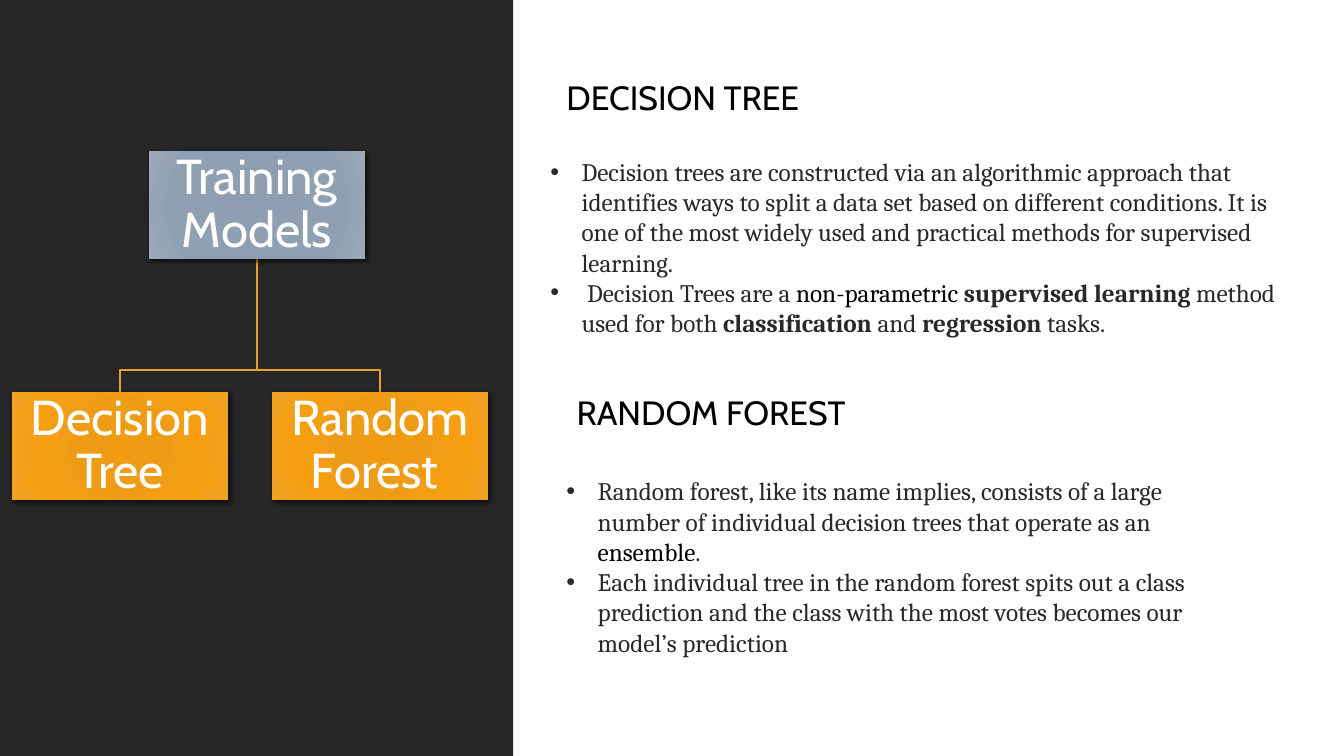
from dataclasses import dataclass
from typing import NamedTuple

import lxml.etree
import pptx
import pptx.dml.color
import pptx.enum.shapes
import pptx.enum.text
import pptx.oxml
import pptx.oxml.ns
import pptx.util

Inches = pptx.util.Inches
Pt = pptx.util.Pt
qn = pptx.oxml.ns.qn

COLOURS = {
    "panel": "262626",
    "branch": "E6A02E",
    "white": "FFFFFF",
    "black": "000000",
    "ink": "292929",
}
STOP_POSITIONS = (0, 34, 70, 100)
GRADIENTS = {
    "slate": ("8D9CAE", "8F9EB0", "90A0B3", "9AA8B8"),
    "orange": ("F09B11", "EE9C16", "F69F12", "EFA225"),
}
HEADING_FONT, BODY_FONT = "Cabin", "Cambria"
BOX_WIDTH, BOX_HEIGHT = 2.14, 1.07
BRANCH_BEND = 3.67
BULLET_INDENT = 0.31


@dataclass(frozen=True)
class Node:
    label: str
    left: float
    top: float
    gradient: str

    @property
    def centre(self) -> float:
        return self.left + BOX_WIDTH / 2


class Span(NamedTuple):
    text: str
    colour: str = "ink"
    bold: bool = False


@dataclass(frozen=True)
class Section:
    heading: str
    heading_at: tuple[float, float, float, float]
    body_at: tuple[float, float, float, float]
    bullets: list[list[Span]]


ROOT = Node("Training Models", 1.48, 1.5, "slate")
LEAVES = [
    Node("Decision Tree", 0.12, 3.89, "orange"),
    Node("Random Forest ", 2.7, 3.89, "orange"),
]
SECTIONS = [
    Section(
        "DECISION TREE", (5.52, 0.71, 6.54, 0.5), (5.36, 1.5, 7.62, 1.92),
        [
            [Span("Decision trees are constructed via an algorithmic approach that "
                  "identifies ways to split a data set based on different conditions. "
                  "It is one of the most widely used and practical methods for "
                  "supervised learning.")],
            [Span(" Decision Trees are a "),
             Span("non-parametric ", "black"),
             Span("supervised learning", bold=True),
             Span(" method used for both "),
             Span("classification ", bold=True),
             Span("and "),
             Span("regression ", bold=True),
             Span("tasks.")],
        ],
    ),
    Section(
        "RANDOM FOREST", (5.62, 3.84, 6.74, 0.5), (5.52, 4.67, 6.84, 1.92),
        [
            [Span("Random forest, like its name implies, consists of a large number "
                  "of individual decision trees that operate as an "),
             Span("ensemble", "black"),
             Span(".")],
            [Span("Each individual tree in the random forest spits out a class "
                  "prediction and the class with the most votes becomes our "
                  "model’s prediction")],
        ],
    ),
]


def rgb(name: str) -> pptx.dml.color.RGBColor:
    return pptx.dml.color.RGBColor.from_string(COLOURS[name])


def style_span(span, font: str, size: float, colour: str, bold: bool = False) -> None:
    span.font.name = font
    span.font.size = Pt(size)
    span.font.color.rgb = rgb(colour)
    span.font.bold = bold


def add_rectangle(page, left: float, top: float, width: float, height: float):
    shape = page.shapes.add_shape(
        pptx.enum.shapes.MSO_SHAPE.RECTANGLE,
        Inches(left), Inches(top), Inches(width), Inches(height))
    shape.shadow.inherit = False
    shape.line.fill.background()
    shape.fill.solid()
    return shape


def add_radial_fill(shape, gradient: str) -> None:
    """Swap the solid fill for a circular gradient."""
    stops = "".join(
        f'<a:gs pos="{position * 1000}"><a:srgbClr val="{colour}"/></a:gs>'
        for position, colour in zip(STOP_POSITIONS, GRADIENTS[gradient]))
    fill = pptx.oxml.parse_xml(
        f'<a:gradFill {pptx.oxml.ns.nsdecls("a")} rotWithShape="1">'
        f'<a:gsLst>{stops}</a:gsLst><a:path path="circle">'
        '<a:fillToRect l="100000" t="100000" r="100000" b="100000"/>'
        '</a:path></a:gradFill>')
    properties = shape.element.spPr
    properties.replace(properties.find(qn("a:solidFill")), fill)


def add_drop_shadow(shape) -> None:
    effects = shape.element.spPr.find(qn("a:effectLst"))
    effects.append(pptx.oxml.parse_xml(
        f'<a:outerShdw {pptx.oxml.ns.nsdecls("a")} blurRad="{Pt(3)}" dist="{Pt(2)}" '
        'dir="2700000" algn="ctr" rotWithShape="0">'
        f'<a:srgbClr val="{COLOURS["black"]}"><a:alpha val="60000"/></a:srgbClr>'
        '</a:outerShdw>'))


def add_node(page, node: Node) -> None:
    box = add_rectangle(page, node.left, node.top, BOX_WIDTH, BOX_HEIGHT)
    add_radial_fill(box, node.gradient)
    add_drop_shadow(box)
    frame = box.text_frame
    frame.word_wrap = True
    frame.vertical_anchor = pptx.enum.text.MSO_ANCHOR.MIDDLE
    for side in ("left", "top", "right", "bottom"):
        setattr(frame, f"margin_{side}", Inches(0.02))
    frame.text = node.label
    para = frame.paragraphs[0]
    para.alignment = pptx.enum.text.PP_ALIGN.CENTER
    para.line_spacing = 0.9
    style_span(para.runs[0], HEADING_FONT, 35, "white")


def add_branch(page, parent: Node, child: Node) -> None:
    start = (Inches(parent.centre), Inches(parent.top + BOX_HEIGHT))
    builder = page.shapes.build_freeform(*start)
    builder.add_line_segments(
        [(Inches(x), Inches(y)) for x, y in (
            (parent.centre, BRANCH_BEND),
            (child.centre, BRANCH_BEND),
            (child.centre, child.top))],
        close=False)
    branch = builder.convert_to_shape()
    branch.shadow.inherit = False
    branch.fill.background()
    branch.line.color.rgb = rgb("branch")
    branch.line.width = Pt(1.25)


def add_text_frame(page, at: tuple[float, float, float, float]):
    frame = page.shapes.add_textbox(*map(Inches, at)).text_frame
    frame.word_wrap = True
    frame.auto_size = pptx.enum.text.MSO_AUTO_SIZE.SHAPE_TO_FIT_TEXT
    return frame


def add_bullet(para) -> None:
    properties = para._p.get_or_add_pPr()
    properties.set("marL", str(Inches(BULLET_INDENT)))
    properties.set("indent", str(-Inches(BULLET_INDENT)))
    lxml.etree.SubElement(properties, qn("a:buFont"), typeface="Arial")
    lxml.etree.SubElement(properties, qn("a:buChar"), char="•")


def add_section(page, section: Section) -> None:
    heading = add_text_frame(page, section.heading_at)
    heading.text = section.heading
    style_span(heading.paragraphs[0].runs[0], HEADING_FONT, 24, "black")
    body = add_text_frame(page, section.body_at)
    for index, spans in enumerate(section.bullets):
        para = body.add_paragraph() if index else body.paragraphs[0]
        add_bullet(para)
        for part in spans:
            span = para.add_run()
            span.text = part.text
            style_span(span, BODY_FONT, 18, part.colour, part.bold)


def main() -> None:
    deck = pptx.Presentation()
    deck.slide_width, deck.slide_height = Inches(13.33), Inches(7.5)
    page = deck.slides.add_slide(deck.slide_layouts[6])
    panel = add_rectangle(page, 0, 0, 5.09, 7.5)
    panel.fill.fore_color.rgb = rgb("panel")
    for leaf in LEAVES:
        add_branch(page, ROOT, leaf)
    for node in (ROOT, *LEAVES):
        add_node(page, node)
    for section in SECTIONS:
        add_section(page, section)
    deck.save("out.pptx")


if __name__ == "__main__":
    main()
